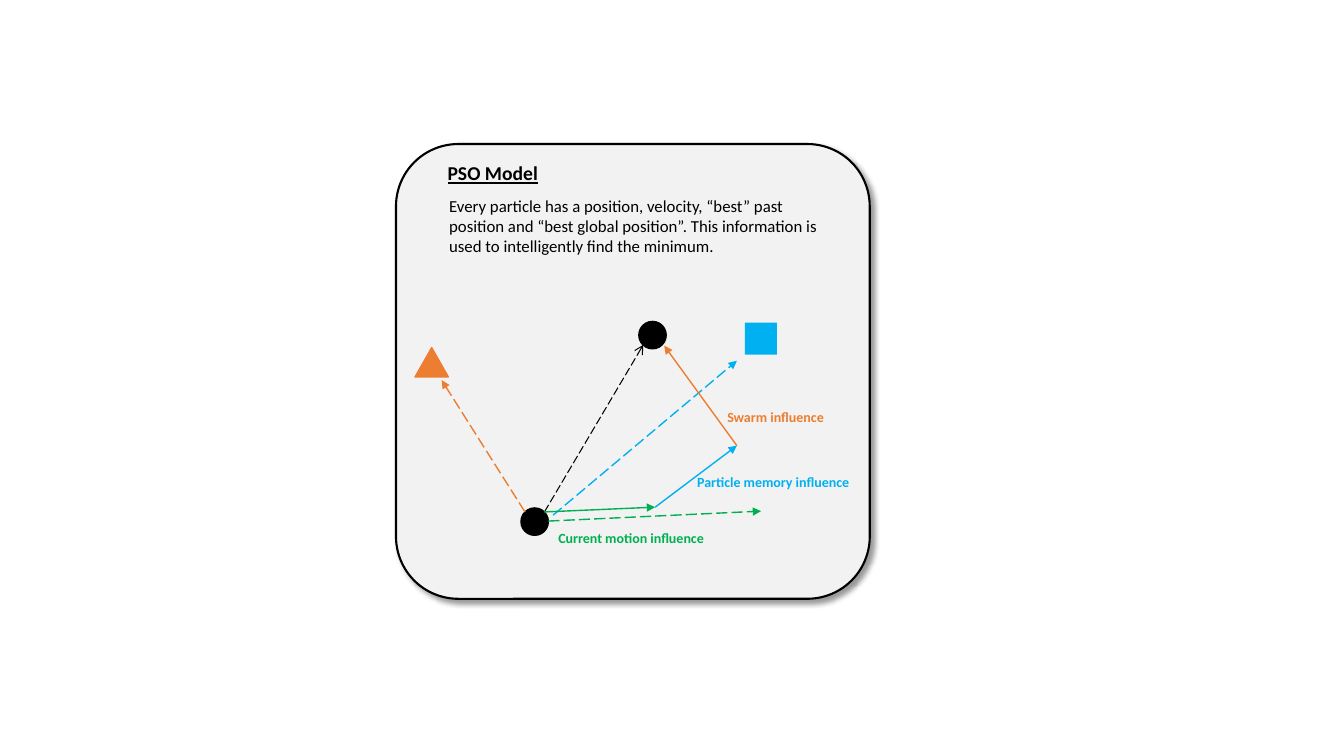
"""Draw the particle swarm model as one slide."""
import pptx
import pptx.dml.color
import pptx.enum.dml
import pptx.enum.shapes
import pptx.enum.text
import pptx.oxml
import pptx.oxml.ns
import pptx.util

Cm, Pt = pptx.util.Cm, pptx.util.Pt
KIND = pptx.enum.shapes.MSO_SHAPE
ALIGN = pptx.enum.text.PP_ALIGN

THEME = {
    "font": "Calibri",
    "ink": "000000", "panel": "F2F2F2",
    "swarm": "ED7D31", "memory": "00B0F0", "motion": "00B050",
    "title": 14, "body": 12, "label": 10,
}

START, STEP, TURN = (13.72, 12.9), (16.51, 12.78), (18.57, 11.23)

SHAPES = [
    (KIND.ROUNDED_RECTANGLE, (9.98, 3.63, 11.94, 11.46), "panel", "ink", 1.5),
    (KIND.OVAL, (13.13, 12.8, 0.69, 0.69), "ink", "ink", 1),
    (KIND.OVAL, (16.1, 8.1, 0.69, 0.69), "ink", "ink", 1),
    (KIND.ISOSCELES_TRIANGLE, (10.46, 8.76, 0.84, 0.74), "swarm", "swarm", 1),
    (KIND.RECTANGLE, (18.77, 8.13, 0.81, 0.81), "memory", None, 0),
]

ARROWS = [
    (START, (16.21, 8.69), "ink", 0.75, True, "arrow"),
    ((13.23, 12.9), (11.13, 9.58), "swarm", 1, True, "triangle"),
    ((13.94, 12.98), (18.57, 9.09), "memory", 1, True, "triangle"),
    ((13.82, 13.13), (19.18, 12.88), "motion", 1, True, "triangle"),
    (START, STEP, "motion", 1, False, "triangle"),
    (STEP, TURN, "memory", 1, False, "triangle"),
    (TURN, (16.74, 8.71), "swarm", 1, False, "triangle"),
]

TEXTS = [
    ("Current motion influence", (13.82, 13.21, 4.93, 0.69), "label", "motion"),
    ("Particle memory influence", (17.32, 11.81, 4.93, 0.69), "label", "memory"),
    ("Swarm influence", (18.08, 10.16, 3.45, 0.69), "label", "swarm"),
    ("Every particle has a position, velocity, “best” past position and "
     "“best global position”. This information is used to intelligently "
     "find the minimum.", (11.07, 4.8, 10.29, 1.8), "body", "ink"),
    ("PSO Model", (10.87, 3.94, 3.1, 0.86), "title", "ink"),
]


def tint(name):
    return pptx.dml.color.RGBColor.from_string(THEME[name])


def add_xml(parent, tag, **attrs):
    node = pptx.oxml.parse_xml(f"<a:{tag} {pptx.oxml.ns.nsdecls('a')}/>")
    for key, value in attrs.items():
        node.set(key, str(value))
    parent.append(node)
    return node


def add_form(slide, kind, box, fill, edge, width):
    form = slide.shapes.add_shape(kind, *map(Cm, box))
    form.shadow.inherit = False
    form.fill.solid()
    form.fill.fore_color.rgb = tint(fill)
    if edge:
        form.line.color.rgb = tint(edge)
        form.line.width = Pt(width)
    else:
        form.line.fill.background()
    return form


def add_shade(form):
    effects = form.element.spPr.find(pptx.oxml.ns.qn("a:effectLst"))
    shade = add_xml(effects, "outerShdw", blurRad=Pt(4), dist=Pt(3),
                    dir=45 * 60000, algn="tl", rotWithShape=0)
    color = add_xml(shade, "srgbClr", val=THEME["ink"])
    add_xml(color, "alpha", val=40000)


def add_arrow(slide, start, end, color, width, dashed, head):
    arrow = slide.shapes.add_connector(
        pptx.enum.shapes.MSO_CONNECTOR.STRAIGHT, *map(Cm, start + end))
    arrow.line.color.rgb = tint(color)
    arrow.line.width = Pt(width)
    if dashed:
        arrow.line.dash_style = pptx.enum.dml.MSO_LINE.LONG_DASH
    add_xml(arrow.line._get_or_add_ln(), "tailEnd", type=head)
    add_xml(arrow.element.spPr, "effectLst")


def add_text(slide, text, box, role, color):
    frame = slide.shapes.add_textbox(*map(Cm, box)).text_frame
    frame.word_wrap = True
    frame.auto_size = pptx.enum.text.MSO_AUTO_SIZE.SHAPE_TO_FIT_TEXT
    frame.text = text
    line = frame.paragraphs[0]
    line.alignment = ALIGN.CENTER if role == "title" else ALIGN.LEFT
    font = line.runs[0].font
    font.name = THEME["font"]
    font.size = Pt(THEME[role])
    font.color.rgb = tint(color)
    font.bold = role != "body"
    font.underline = role == "title"


def main():
    deck = pptx.Presentation()
    deck.slide_width, deck.slide_height = Cm(33.87), Cm(19.05)
    slide = deck.slides.add_slide(deck.slide_layouts[6])
    panel, *_ = [add_form(slide, *item) for item in SHAPES]
    panel.adjustments[0] = 0.137
    add_shade(panel)
    for item in ARROWS:
        add_arrow(slide, *item)
    for item in TEXTS:
        add_text(slide, *item)
    deck.save("out.pptx")


if __name__ == "__main__":
    main()
